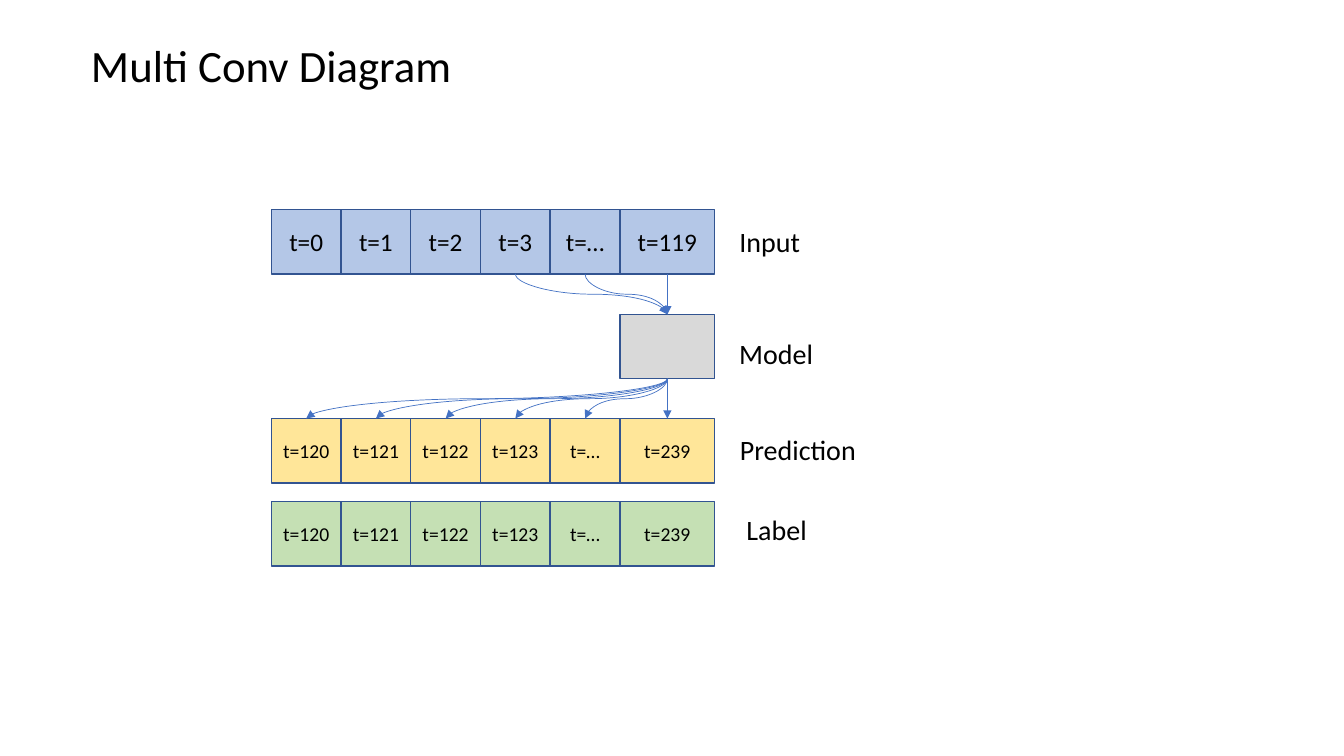
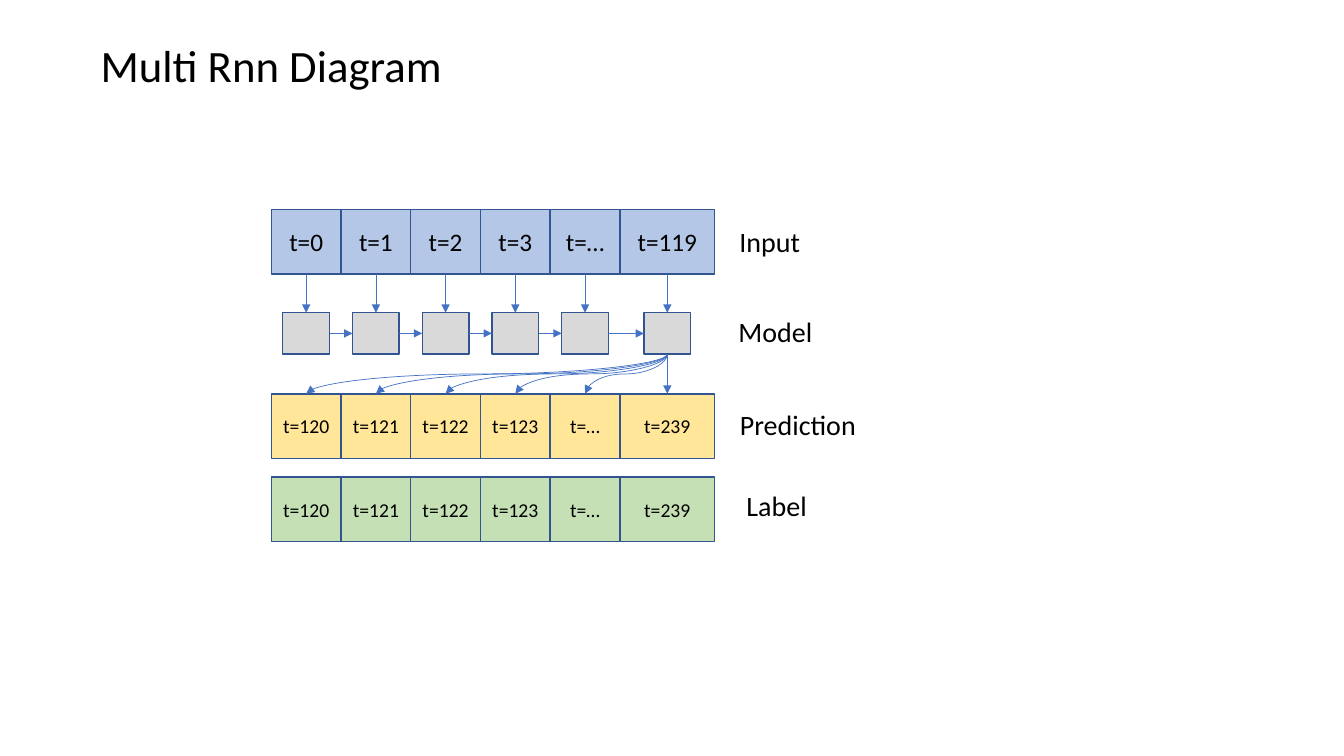
from dataclasses import dataclass
from typing import Any

from lxml.etree import SubElement
from pptx import Presentation
from pptx.dml.color import RGBColor
from pptx.enum.shapes import MSO_CONNECTOR as Link, MSO_SHAPE
from pptx.enum.text import MSO_ANCHOR as Anchor, MSO_AUTO_SIZE as AutoSize, PP_ALIGN as Align
from pptx.oxml.ns import qn
from pptx.shapes.autoshape import Shape
from pptx.shapes.connector import Connector
from pptx.slide import Slide
from pptx.util import Pt

TITLE_ONLY = 5
TOP, LEFT, BOTTOM, RIGHT = range(4)  # connection sites of a rectangle


@dataclass(frozen=True)
class Theme:
    """Colours, type sizes and line widths shared by the slides."""
    font: str = "Calibri"
    text: RGBColor = RGBColor(0, 0, 0)
    outline: RGBColor = RGBColor(0x32, 0x54, 0x91)
    arrow: RGBColor = RGBColor(0x44, 0x72, 0xC4)
    input: RGBColor = RGBColor(0xB4, 0xC7, 0xE7)
    model: RGBColor = RGBColor(0xD9, 0xD9, 0xD9)
    prediction: RGBColor = RGBColor(0xFF, 0xE6, 0x99)
    label: RGBColor = RGBColor(0xC5, 0xE0, 0xB4)
    title_size: float = 32
    caption_size: float = 20
    input_size: float = 18
    output_size: float = 14
    outline_width: float = 1
    arrow_width: float = 0.5


THEME = Theme()


@dataclass(frozen=True)
class Box:
    """A rectangle in points."""
    left: float
    top: float
    width: float
    height: float


@dataclass(frozen=True)
class Caption:
    """The name to the right of a row."""
    text: str
    box: Box


@dataclass(frozen=True)
class Row:
    """A row of time steps."""
    top: float
    steps: tuple[str, ...]
    fill: RGBColor
    size: float


@dataclass(frozen=True)
class Diagram:
    """What differs between the two slides."""
    title: str
    title_width: float
    model_boxes: tuple[Box, ...]
    model_caption: Caption
    prediction_top: float


ROW_LEFT, STEP_WIDTH, LAST_WIDTH, ROW_HEIGHT = 193.8, 49.8, 67.8, 46
STEP_COUNT = 6
COLUMNS = tuple(
    (ROW_LEFT + i * STEP_WIDTH, LAST_WIDTH if i == STEP_COUNT - 1 else STEP_WIDTH)
    for i in range(STEP_COUNT))
CELL_WIDTH, CELL_HEIGHT = 33.4, 29.5
CAPTION_LEFT, CAPTION_HEIGHT = 520.6, 31.5
TITLE_CENTER, TITLE_TOP, TITLE_HEIGHT = 193.8, 23, 46
INPUT_TOP, LABEL_OFFSET = 149.7, 59.4
INPUT_STEPS = ("t=0", "t=1", "t=2", "t=3", "t=…", "t=119")
OUTPUT_STEPS = ("t=120", "t=121", "t=122", "t=123", "t=…", "t=239")

DIAGRAMS = (
    Diagram("Multi Conv Diagram", 275,
            (Box(COLUMNS[-1][0], 224.6, LAST_WIDTH, ROW_HEIGHT),),
            Caption("Model", Box(CAPTION_LEFT, 236.9, 67.7, CAPTION_HEIGHT)), 299),
    Diagram("Multi Rnn Diagram", 261.4,
            tuple(Box(left + (width - CELL_WIDTH) / 2, 223.4, CELL_WIDTH, CELL_HEIGHT)
                  for left, width in COLUMNS),
            Caption("Model", Box(520, 221, 67.7, CAPTION_HEIGHT)), 281.3),
)


def apply(target: Any, values: dict[str, Any]) -> None:
    """Set each named attribute of the target."""
    for name, value in values.items():
        setattr(target, name, value)


def lengths(box: Box) -> tuple[Pt, Pt, Pt, Pt]:
    """Return the box as slide lengths."""
    return Pt(box.left), Pt(box.top), Pt(box.width), Pt(box.height)


def write(shape: Shape, text: str, size: float, frame: dict[str, Any]) -> None:
    """Put one centred line of text in a shape."""
    apply(shape.text_frame, frame)
    paragraph = shape.text_frame.paragraphs[0]
    paragraph.alignment = Align.CENTER
    run = paragraph.add_run()
    run.text = text
    apply(run.font, {"name": THEME.font, "size": Pt(size)})
    run.font.color.rgb = THEME.text


def free_line(shape: Shape, text: str, size: float) -> None:
    """Write an unwrapped line whose box grows with it."""
    write(shape, text, size, {"word_wrap": False, "vertical_anchor": Anchor.TOP,
                              "auto_size": AutoSize.SHAPE_TO_FIT_TEXT})


def draw_title(slide: Slide, diagram: Diagram) -> None:
    """Place and fill the title placeholder."""
    title = slide.shapes.title
    left = TITLE_CENTER - diagram.title_width / 2
    apply(title, {"left": Pt(left), "top": Pt(TITLE_TOP),
                  "width": Pt(diagram.title_width), "height": Pt(TITLE_HEIGHT)})
    free_line(title, diagram.title, THEME.title_size)


def draw_caption(slide: Slide, caption: Caption) -> None:
    """Write the name of a row."""
    free_line(slide.shapes.add_textbox(*lengths(caption.box)),
              caption.text, THEME.caption_size)


def draw_box(slide: Slide, box: Box, fill: RGBColor) -> Shape:
    """Draw an outlined rectangle."""
    shape = slide.shapes.add_shape(MSO_SHAPE.RECTANGLE, *lengths(box))
    shape.shadow.inherit = False
    shape.fill.solid()
    shape.fill.fore_color.rgb = fill
    shape.line.color.rgb = THEME.outline
    shape.line.width = Pt(THEME.outline_width)
    return shape


def draw_row(slide: Slide, row: Row) -> list[Shape]:
    """Draw one box for each time step."""
    cells = []
    for (left, width), step in zip(COLUMNS, row.steps):
        cell = draw_box(slide, Box(left, row.top, width, ROW_HEIGHT), row.fill)
        write(cell, step, row.size, {"word_wrap": True, "vertical_anchor": Anchor.MIDDLE})
        cells.append(cell)
    return cells


def finish_arrow(arrow: Connector) -> None:
    """Give a connector its line, arrowhead and no shadow."""
    arrow.line.color.rgb = THEME.arrow
    arrow.line.width = Pt(THEME.arrow_width)
    properties = arrow.element.spPr
    SubElement(properties.find(qn("a:ln")), qn("a:tailEnd"), type="triangle")
    SubElement(properties, qn("a:effectLst"))


def straight_arrow(slide: Slide, source: Shape, target: Shape,
                   exit_site: int = BOTTOM, entry_site: int = TOP) -> None:
    """Join two shapes with a straight arrow."""
    arrow = slide.shapes.add_connector(Link.STRAIGHT, Pt(0), Pt(0), Pt(0), Pt(0))
    arrow.begin_connect(source, exit_site)
    arrow.end_connect(target, entry_site)
    finish_arrow(arrow)


def curved_arrow(slide: Slide, source: Shape, target: Shape) -> None:
    """Curve from the bottom of the source to the top of the target."""
    start_x, start_y = source.left.pt + source.width.pt / 2, source.top.pt + source.height.pt
    end_x, end_y = target.left.pt + target.width.pt / 2, target.top.pt
    middle_x, middle_y = (start_x + end_x) / 2, (start_y + end_y) / 2
    rightward = end_x > start_x
    # A quarter turn swaps the sides, so that the curve leaves vertically.
    reach_x = (end_y - start_y) / 2 * (1 if rightward else -1)
    reach_y = abs(end_x - start_x) / 2
    arrow = slide.shapes.add_connector(
        Link.CURVE, Pt(middle_x + reach_x), Pt(middle_y - reach_y),
        Pt(middle_x - reach_x), Pt(middle_y + reach_y))
    arrow.rotation = 270 if rightward else 90
    finish_arrow(arrow)


def draw_diagram(slide: Slide, diagram: Diagram) -> None:
    """Draw the rows, the model and the arrows between them."""
    draw_title(slide, diagram)
    top = diagram.prediction_top
    label_top = top + LABEL_OFFSET
    inputs = draw_row(slide, Row(INPUT_TOP, INPUT_STEPS, THEME.input, THEME.input_size))
    models = [draw_box(slide, box, THEME.model) for box in diagram.model_boxes]
    predictions = draw_row(slide, Row(top, OUTPUT_STEPS, THEME.prediction, THEME.output_size))
    draw_row(slide, Row(label_top, OUTPUT_STEPS, THEME.label, THEME.output_size))

    for caption in (
        Caption("Input", Box(CAPTION_LEFT, 157, 58.3, CAPTION_HEIGHT)),
        diagram.model_caption,
        Caption("Prediction", Box(CAPTION_LEFT, top + 6.2, 98.6, CAPTION_HEIGHT)),
        Caption("Label", Box(525.6, label_top + 4.4, 58.3, CAPTION_HEIGHT)),
    ):
        draw_caption(slide, caption)

    for step, model in zip(inputs[-len(models):], models):
        straight_arrow(slide, step, model)
    for model, following in zip(models, models[1:]):
        straight_arrow(slide, model, following, RIGHT, LEFT)
    if len(models) == 1:
        for step in inputs[3:-1]:
            curved_arrow(slide, step, models[0])
    straight_arrow(slide, models[-1], predictions[-1])
    for prediction in predictions[:-1]:
        curved_arrow(slide, models[-1], prediction)


def main() -> None:
    """Build and save the presentation."""
    deck = Presentation()
    apply(deck, {"slide_width": Pt(960), "slide_height": Pt(540)})
    for diagram in DIAGRAMS:
        draw_diagram(deck.slides.add_slide(deck.slide_layouts[TITLE_ONLY]), diagram)
    deck.save("out.pptx")


main()
